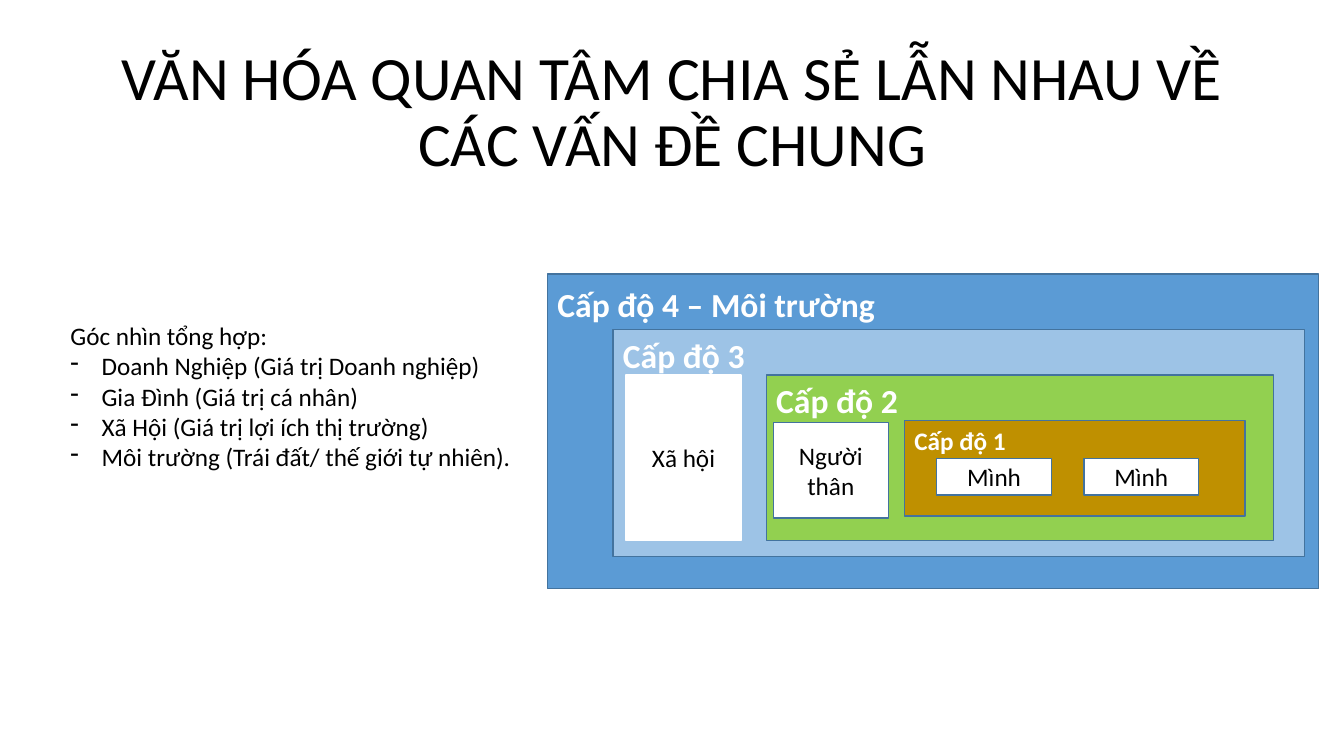
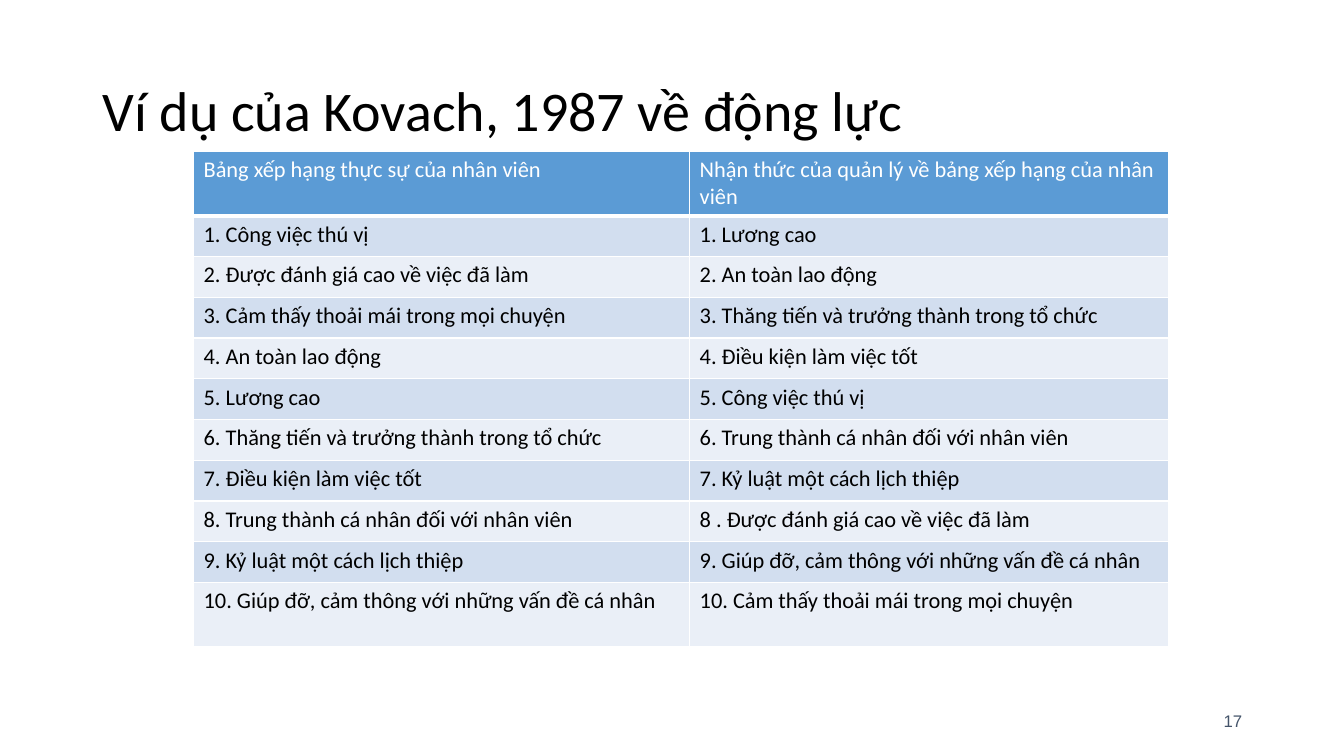
"""Build two slides: nested levels of care, and a ranking of motives at work."""
from dataclasses import dataclass

from lxml.etree import SubElement
from pptx import Presentation
from pptx.dml.color import RGBColor
from pptx.enum.shapes import MSO_SHAPE
from pptx.enum.text import MSO_ANCHOR, PP_ALIGN
from pptx.oxml.ns import qn
from pptx.util import Inches, Pt


@dataclass(frozen=True)
class Theme:
    font: str = "Calibri"
    mono: str = "Arial"
    ink: str = "000000"
    paper: str = "FFFFFF"
    slate: str = "44546A"
    edge: str = "43739E"
    blue: str = "5B9BD5"
    sky: str = "9DC3E6"
    green: str = "92D050"
    gold: str = "BF9000"
    bands: tuple = ("EAEFF7", "D2DEEF")
    title: int = 44
    small: int = 40
    head: int = 24
    body: int = 18
    cell: int = 16
    foot: int = 12


T = Theme()
WIDE, HIGH = 13.33, 7.5
TITLE = (0.92, 0.4, 11.5, 1.45)

VIEW = "Góc nhìn tổng hợp:"
POINTS = [
    "Doanh Nghiệp (Giá trị Doanh nghiệp)",
    "Gia Đình (Giá trị cá nhân)",
    "Xã Hội (Giá trị lợi ích thị trường)",
    "Môi trường (Trái đất/ thế giới tự nhiên).",
]

OUTER = (5.43, 2.72, 7.65, 3.12)
OUTER_TEXT = "Cấp độ 4 – Môi trường"
MEMBER = 1.14
# label, size, fill, insets in parent, members (text, left, top, height, line)
LEVELS = [
    ("", T.head, T.blue, (0, 0, 0, 0), []),
    ("Cấp độ 3", T.head, T.sky, (0.65, 0.55, 0.14, 0.32),
     [("Xã hội", 0.13, 0.45, 1.64, T.paper)]),
    ("Cấp độ 2", T.head, T.green, (1.52, 0.45, 0.31, 0.16),
     [("Người thân", 0.07, 0.47, 0.95, T.edge)]),
    ("Cấp độ 1", T.body, T.gold, (1.37, 0.45, 0.28, 0.24),
     [("Mình", 0.32, 0.38, 0.36, T.edge), ("Mình", 1.78, 0.38, 0.36, T.edge)]),
]

RANKS = [
    ("Bảng xếp hạng thực sự của nhân viên",
     "Nhận thức của quản lý về bảng xếp hạng của nhân viên"),
    ("1. Công việc thú vị", "1. Lương cao"),
    ("2. Được đánh giá cao về việc đã làm", "2. An toàn lao động"),
    ("3. Cảm thấy thoải mái trong mọi chuyện",
     "3. Thăng tiến và trưởng thành trong tổ chức"),
    ("4. An toàn lao động", "4. Điều kiện làm việc tốt"),
    ("5. Lương cao", "5. Công việc thú vị"),
    ("6. Thăng tiến và trưởng thành trong tổ chức",
     "6. Trung thành cá nhân đối với nhân viên"),
    ("7. Điều kiện làm việc tốt", "7. Kỷ luật một cách lịch thiệp"),
    ("8. Trung thành cá nhân đối với nhân viên",
     "8 . Được đánh giá cao về việc đã làm"),
    ("9. Kỷ luật một cách lịch thiệp",
     "9. Giúp đỡ, cảm thông với những vấn đề cá nhân"),
    ("10. Giúp đỡ, cảm thông với những vấn đề cá nhân",
     "10. Cảm thấy thoải mái trong mọi chuyện"),
]
TABLE = (1.92, 1.5, 9.67, 4.92)
COLS = (4.92, 4.75)
TALL = 0.64


def rgb(code):
    """Turn a hex code into a colour."""
    return RGBColor.from_string(code)


def place(box):
    """Turn inches into lengths."""
    return [Inches(n) for n in box]


def write(frame, *lines, size=T.body, color=T.ink, font=T.font, bold=False,
          align=PP_ALIGN.LEFT, anchor=MSO_ANCHOR.TOP, space=None):
    """Fill a text frame with one paragraph per line."""
    frame.word_wrap = True
    frame.vertical_anchor = anchor
    for i, line in enumerate(lines):
        para = frame.paragraphs[0] if i == 0 else frame.add_paragraph()
        para.alignment = align
        if space:
            para.line_spacing = space
        run = para.add_run()
        run.text = line
        run.font.size, run.font.name, run.font.bold = Pt(size), font, bold
        run.font.color.rgb = rgb(color)
    return frame


def label(shapes, box, *lines, **form):
    """Add a text box."""
    return write(shapes.add_textbox(*place(box)).text_frame, *lines, **form)


def head(slide, text, **form):
    """Add the slide title."""
    label(slide.shapes, TITLE, text, anchor=MSO_ANCHOR.MIDDLE, space=0.9, **form)


def block(shapes, box, text, fill, line, **form):
    """Add a filled rectangle, with text if given."""
    rect = shapes.add_shape(MSO_SHAPE.RECTANGLE, *place(box))
    rect.shadow.inherit = False
    rect.fill.solid()
    rect.fill.fore_color.rgb = rgb(fill)
    rect.line.color.rgb = rgb(line)
    rect.line.width = Pt(1)
    if text:
        write(rect.text_frame, text, **form)


def dash(para):
    """Give a paragraph a hanging dash."""
    props = para._p.get_or_add_pPr()
    props.set("marL", str(Inches(0.31)))
    props.set("indent", str(-Inches(0.31)))
    SubElement(props, qn("a:buFontTx"))
    SubElement(props, qn("a:buChar"), char="-")


def rule(cell, base):
    """Draw the four white borders of a cell."""
    props = cell._tc.get_or_add_tcPr()
    for i, (side, width) in enumerate(zip("LRTB", (1, 1, 1, base))):
        line = SubElement(props, qn("a:ln" + side), w=str(Pt(width)))
        fill = SubElement(line, qn("a:solidFill"))
        SubElement(fill, qn("a:srgbClr"), val=T.paper)
        props.insert(i, line)


def care(slide):
    """Draw the levels of care."""
    head(slide, "VĂN HÓA QUAN TÂM CHIA SẺ LẪN NHAU VỀ CÁC VẤN ĐỀ CHUNG",
         size=T.title, align=PP_ALIGN.CENTER)
    view = label(slide.shapes, (0.6, 3.13, 4.83, 1.62), VIEW, *POINTS)
    for para in view.paragraphs[1:]:
        dash(para)
    group = slide.shapes.add_group_shape().shapes
    x, y, w, h = OUTER
    for text, size, fill, (left, top, right, base), members in LEVELS:
        x, y, w, h = x + left, y + top, w - left - right, h - top - base
        block(group, (x, y, w, h), text, fill, T.edge,
              size=size, color=T.paper, bold=True)
        for name, dx, dy, tall, line in members:
            block(group, (x + dx, y + dy, MEMBER, tall), name, T.paper, line,
                  align=PP_ALIGN.CENTER, anchor=MSO_ANCHOR.MIDDLE)
    label(group, (OUTER[0], OUTER[1] + 0.05, 6.85, 0.5), OUTER_TEXT,
          size=T.head, color=T.paper, bold=True)


def rank(slide):
    """Draw the table of ranks."""
    count = len(RANKS)
    grid = slide.shapes.add_table(count, len(COLS), *place(TABLE)).table
    for col, wide in zip(grid.columns, COLS):
        col.width = Inches(wide)
    step = (TABLE[3] - 2 * TALL) / (count - 2)
    for r, texts in enumerate(RANKS):
        grid.rows[r].height = Inches(TALL if r in (0, count - 1) else step)
        for c, text in enumerate(texts):
            cell = grid.cell(r, c)
            cell.fill.solid()
            cell.fill.fore_color.rgb = rgb(T.bands[r % 2] if r else T.blue)
            write(cell.text_frame, text, size=T.cell,
                  color=T.ink if r else T.paper)
            rule(cell, 1 if r else 3)
    head(slide, "Ví dụ của Kovach, 1987 về động lực", size=T.small)
    label(slide.shapes, (9.42, 6.95, 3, 0.4), "17", size=T.foot, color=T.slate,
          font=T.mono, align=PP_ALIGN.RIGHT, anchor=MSO_ANCHOR.MIDDLE)


def main():
    """Build and save the deck."""
    deck = Presentation()
    deck.slide_width, deck.slide_height = Inches(WIDE), Inches(HIGH)
    for draw in (care, rank):
        draw(deck.slides.add_slide(deck.slide_layouts[6]))
    deck.save("out.pptx")


if __name__ == "__main__":
    main()
